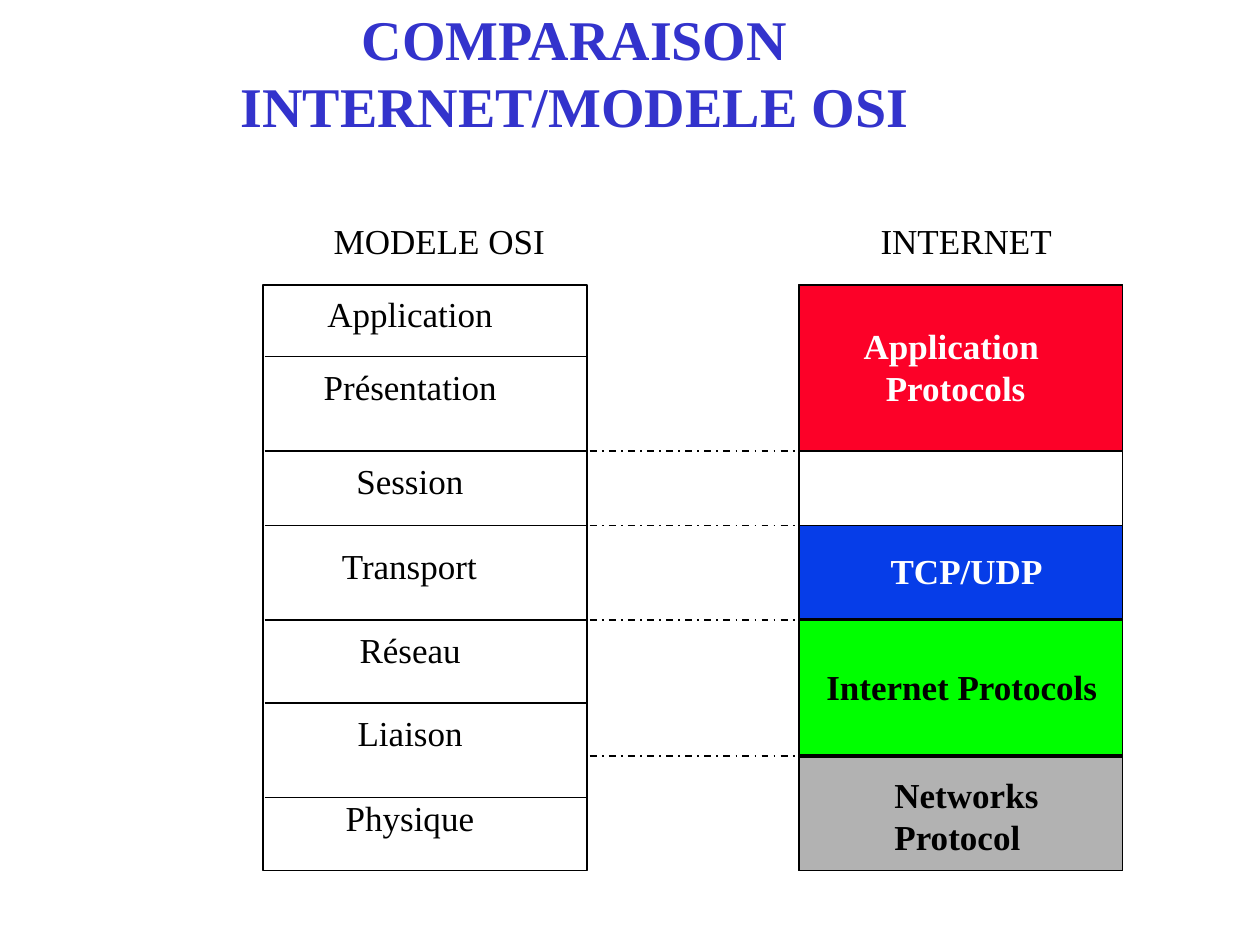
from dataclasses import dataclass
from lxml.etree import SubElement
from pptx import Presentation
from pptx.dml.color import RGBColor
from pptx.enum.dml import MSO_LINE
from pptx.enum.shapes import MSO_CONNECTOR, MSO_SHAPE
from pptx.enum.text import MSO_ANCHOR, MSO_AUTO_SIZE, PP_ALIGN
from pptx.oxml.ns import qn
from pptx.slide import Slide
from pptx.util import Inches, Pt

BLACK = RGBColor(0x00, 0x00, 0x00)
WHITE = RGBColor(0xFF, 0xFF, 0xFF)
INDIGO = RGBColor(0x33, 0x33, 0xCC)
RED = RGBColor(0xFC, 0x01, 0x28)
BLUE = RGBColor(0x06, 0x3D, 0xE8)
GREEN = RGBColor(0x00, 0xFF, 0x00)
GRAY = RGBColor(0xB2, 0xB2, 0xB2)

# Grid of 100 columns by 75 rows
COLUMNS, ROWS = 100, 75
STACK_TOP, STACK_BOTTOM, STACK_WIDTH = 22.6, 69.1, 25.7
OSI_LEFT, INTERNET_LEFT = 20.9, 63.4
LABEL_HEIGHT, OSI_LABEL_CENTER = 4.4, 32.6

# Name, label width and label top, from the upper layer to the lower
OSI_LAYERS = [
    ("Application", 15.2, 22.7),
    ("Présentation", 15.8, 28.5),
    ("Session", 10.6, 36),
    ("Transport", 12.9, 42.7),
    ("Réseau", 10.1, 49.4),
    ("Liaison", 10.4, 56),
    ("Physique", 12.3, 62.7),
]
OSI_DIVIDERS = [28.3, 35.8, 41.7, 49.2, 55.8, 63.3]
MATCHING_LEVELS = [35.8, 41.7, 49.2, 60]

# Fill, top and height of each block
INTERNET_BLOCKS = [
    (GRAY, 60.1, 9),
    (GREEN, 49.2, 10.7),
    (BLUE, 41.7, 7.4),
    (RED, STACK_TOP, 13.2),
]
# Lines, box and font colour of each block's label
INTERNET_LABELS = [
    (["Application ", "Protocols"], (67.5, 25.3, 16.7, 7.7), WHITE, PP_ALIGN.CENTER),
    (["TCP/UDP"], (69.7, 43.1, 14.2, 4.4), WHITE, PP_ALIGN.LEFT),
    (["Internet Protocols"], (64.6, 52.3, 23.6, 4.3), BLACK, PP_ALIGN.LEFT),
    (["Networks", "Protocol"], (70, 60.9, 14.1, 7.6), BLACK, PP_ALIGN.LEFT),
]


@dataclass
class SlideBuilder:
    slide: Slide
    column: float
    row: float
    font_name: str = "Times New Roman"
    font_size: int = 20
    line_width: float = 1

    def place(self, left, top, width, height):
        return (int(left * self.column), int(top * self.row),
                int(width * self.column), int(height * self.row))

    def style_line(self, line, dash=None):
        line.color.rgb = BLACK
        line.width = Pt(self.line_width)
        if dash:
            line.dash_style = dash

    def text(self, lines, box, wrap=False, anchor=MSO_ANCHOR.TOP,
             align=PP_ALIGN.LEFT, **font_format):
        frame = self.slide.shapes.add_textbox(*self.place(*box)).text_frame
        frame.word_wrap = wrap
        frame.vertical_anchor = anchor
        frame.auto_size = MSO_AUTO_SIZE.NONE if wrap else MSO_AUTO_SIZE.SHAPE_TO_FIT_TEXT
        frame.text = "\n".join(lines)
        color = font_format.pop("color", BLACK)
        values = {"name": self.font_name, "size": Pt(self.font_size), **font_format}
        for paragraph in frame.paragraphs:
            paragraph.alignment = align
            for name, value in values.items():
                setattr(paragraph.font, name, value)
            paragraph.font.color.rgb = color

    def rectangle(self, box, fill=None):
        shape = self.slide.shapes.add_shape(MSO_SHAPE.RECTANGLE, *self.place(*box))
        shape.shadow.inherit = False
        if fill is None:
            shape.fill.background()
        else:
            shape.fill.solid()
            shape.fill.fore_color.rgb = fill
        self.style_line(shape.line)

    def horizontal_line(self, left, right, level, dash=None):
        x, y, width, _ = self.place(left, level, right - left, 0)
        connector = self.slide.shapes.add_connector(
            MSO_CONNECTOR.STRAIGHT, x, y, x + width, y)
        self.style_line(connector.line, dash)
        SubElement(connector._element.spPr, qn("a:effectLst"))


def main():
    presentation = Presentation()
    presentation.slide_width, presentation.slide_height = Inches(10), Inches(7.5)
    slide = presentation.slides.add_slide(presentation.slide_layouts[6])
    builder = SlideBuilder(slide, presentation.slide_width / COLUMNS,
                           presentation.slide_height / ROWS)
    stack_height = STACK_BOTTOM - STACK_TOP
    osi_right = OSI_LEFT + STACK_WIDTH

    # Title
    builder.text(["COMPARAISON INTERNET/MODELE OSI"], (9, -0.6, 73.2, 12.5),
                 wrap=True, anchor=MSO_ANCHOR.MIDDLE, align=PP_ALIGN.CENTER,
                 size=Pt(32), bold=True, color=INDIGO)

    # Internet stack
    builder.rectangle((INTERNET_LEFT, STACK_TOP, STACK_WIDTH, stack_height))
    for fill, top, height in INTERNET_BLOCKS:
        builder.rectangle((INTERNET_LEFT, top, STACK_WIDTH, height), fill)
    for lines, box, color, align in INTERNET_LABELS:
        builder.text(lines, box, align=align, bold=True, color=color)

    # OSI stack
    builder.rectangle((OSI_LEFT, STACK_TOP, STACK_WIDTH, stack_height))
    for level in OSI_DIVIDERS:
        builder.horizontal_line(OSI_LEFT + 0.1, osi_right - 0.1, level)
    for name, width, top in OSI_LAYERS:
        builder.text([name], (OSI_LABEL_CENTER - width / 2, top, width, LABEL_HEIGHT))

    # Column headings
    builder.text(["INTERNET"], (68.9, 16.9, 15.7, LABEL_HEIGHT))
    builder.text(["MODELE OSI"], (25.5, 16.9, 18.9, LABEL_HEIGHT))

    # Matching levels between the two stacks
    for level in MATCHING_LEVELS:
        builder.horizontal_line(osi_right + 0.2, INTERNET_LEFT - 0.2, level,
                                MSO_LINE.DASH_DOT)

    presentation.save("out.pptx")


if __name__ == "__main__":
    main()
